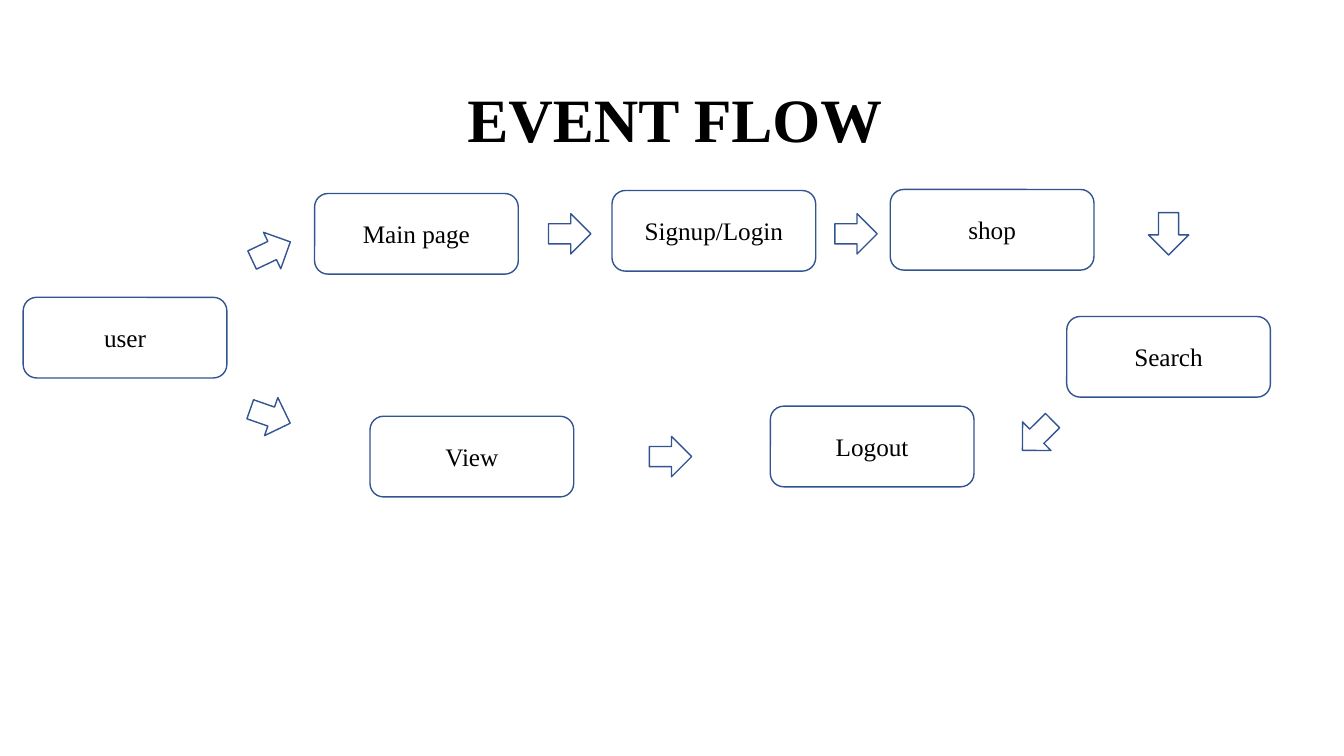
from pptx import Presentation
from pptx.dml.color import RGBColor
from pptx.enum.shapes import MSO_SHAPE as Shape
from pptx.enum.text import MSO_ANCHOR as Anchor, PP_ALIGN as Align
from pptx.util import Inches, Pt

COLORS = {"text": "000000", "fill": "FFFFFF", "line": "325491"}
FONT = "Times New Roman"
SLIDE_WIDTH, SLIDE_HEIGHT = 13.33, 7.5
STEP_SIZE = (2.02, 0.8)
ARROW_SIZE = (0.42, 0.4)

STEPS = [
    ("user", 0.23, 1.07),
    ("Main page", 3.12, 0.04),
    ("View", 3.67, 2.25),
    ("Signup/Login", 6.07, 0.01),
    ("shop", 8.83, 0),
    ("Search", 10.58, 1.26),
    ("Logout", 7.64, 2.15),
]
ARROWS = [
    (2.48, 0.41, 334.6),
    (5.44, 0.24, 0),
    (8.28, 0.24, 0),
    (2.47, 2.05, 19.3),
    (6.44, 2.45, 0),
    (11.38, 0.24, 90),
    (10.08, 2.24, 135.3),
]


def color(name):
    return RGBColor.from_string(COLORS[name])


def write_text(shape, text, size, bold=False):
    frame = shape.text_frame
    frame.text = text
    frame.word_wrap = True
    frame.vertical_anchor = Anchor.MIDDLE
    paragraph = frame.paragraphs[0]
    paragraph.alignment = Align.CENTER
    font = paragraph.runs[0].font
    font.name, font.size, font.bold = FONT, Pt(size), bold
    font.color.rgb = color("text")
    return paragraph


def add_title(slide, left, top, width, height):
    title = slide.shapes.title
    title.left, title.top = Inches(left), Inches(top)
    title.width, title.height = Inches(width), Inches(height)
    write_text(title, "EVENT FLOW", 44, bold=True).line_spacing = 0.9


def add_outlined(slide, kind, left, top, size):
    shape = slide.shapes.add_shape(kind, *map(Inches, (left, top, *size)))
    shape.shadow.inherit = False
    shape.fill.solid()
    shape.fill.fore_color.rgb = color("fill")
    shape.line.color.rgb = color("line")
    shape.line.width = Pt(1)
    return shape


def add_flow(slide, left, top):
    for label, x, y in STEPS:
        step = add_outlined(slide, Shape.ROUNDED_RECTANGLE, left + x, top + y, STEP_SIZE)
        write_text(step, label, 18)
    for x, y, angle in ARROWS:
        arrow = add_outlined(slide, Shape.RIGHT_ARROW, left + x, top + y, ARROW_SIZE)
        arrow.rotation = angle


def main():
    presentation = Presentation()
    presentation.slide_width = Inches(SLIDE_WIDTH)
    presentation.slide_height = Inches(SLIDE_HEIGHT)
    slide = presentation.slides.add_slide(presentation.slide_layouts[5])
    add_title(slide, 0.03, 0.49, SLIDE_WIDTH, 1.45)
    add_flow(slide, 0, 1.88)
    presentation.save("out.pptx")


if __name__ == "__main__":
    main()
